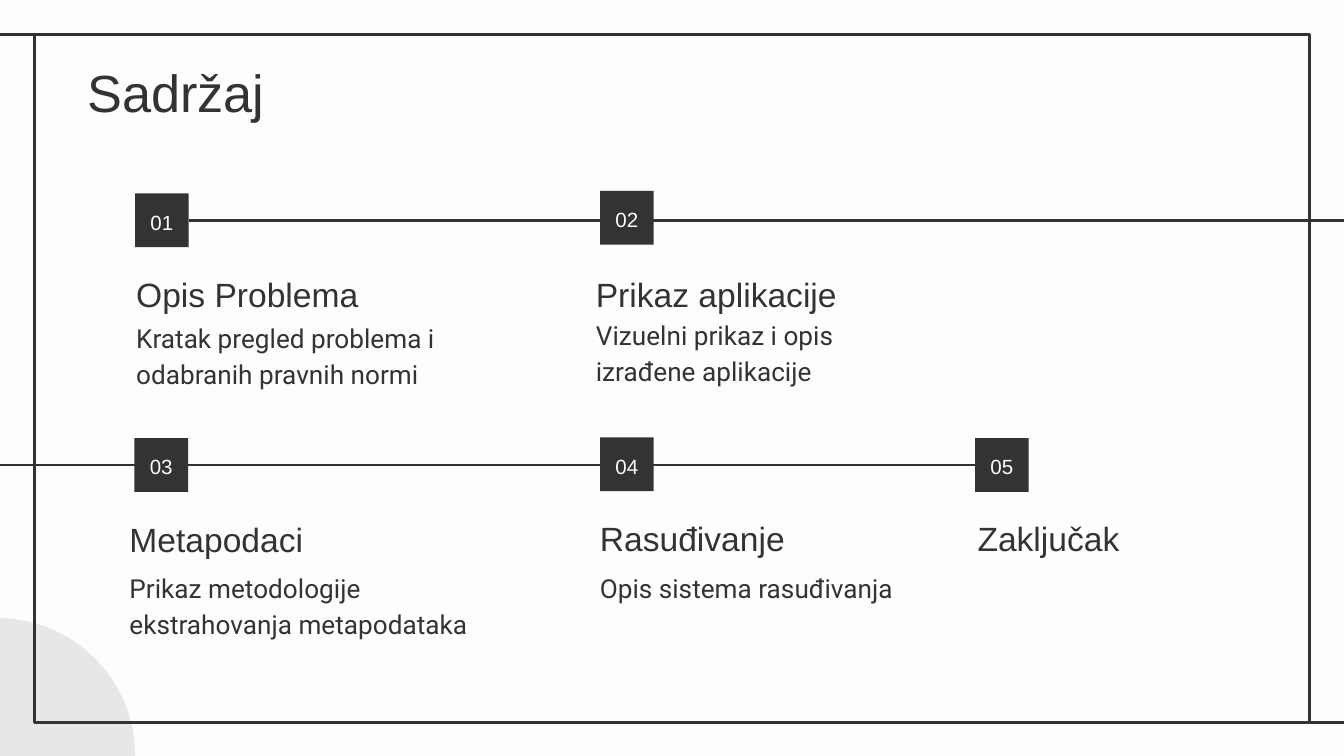
from lxml import etree
from pptx import Presentation
from pptx.dml.color import RGBColor
from pptx.enum.shapes import MSO_CONNECTOR as CONN, MSO_SHAPE as SHAPE
from pptx.enum.text import MSO_ANCHOR as ANCHOR, MSO_AUTO_SIZE as AUTO, PP_ALIGN as ALIGN
from pptx.oxml.ns import qn
from pptx.util import Emu, Pt

PX = 4572
DARK, LIGHT, GRAY = "333333", "FDFDFD", "E8E7E7"
rgb = RGBColor.from_string


def write(sp, lines, size, font="Arial", color=DARK, anchor=ANCHOR.TOP, align=ALIGN.LEFT, spacing=1.15):
    tf = sp.text_frame
    tf.word_wrap = True
    tf.auto_size = AUTO.NONE
    tf.vertical_anchor = anchor
    tf.margin_left = tf.margin_right = tf.margin_top = tf.margin_bottom = Emu(20 * PX)
    for i, line in enumerate(lines):
        p = tf.paragraphs[0] if i == 0 else tf.add_paragraph()
        p.alignment = align
        p.line_spacing = spacing
        r = p.add_run()
        r.text = line
        r.font.size = Pt(size)
        r.font.name = font
        r.font.color.rgb = rgb(color)


def rule(x1, y1, x2, y2):
    c = s.shapes.add_connector(CONN.STRAIGHT, *[Emu(v * PX) for v in (x1, y1, x2, y2)])
    c.line.color.rgb = rgb(DARK)
    c.line.width = Pt(1.5)
    etree.SubElement(c._element.spPr, qn("a:effectLst"))
    return c


prs = Presentation()
prs.slide_width, prs.slide_height = Emu(2000 * PX), Emu(1125 * PX)
s = prs.slides.add_slide(prs.slide_layouts[5])
s.background.fill.solid()
s.background.fill.fore_color.rgb = rgb(LIGHT)

title = s.shapes.title
title.left, title.top, title.width, title.height = [Emu(v * PX) for v in (110, 69, 1686, 126)]
write(title, ["Sadržaj"], 28, spacing=1)

circle = s.shapes.add_shape(SHAPE.OVAL, *[Emu(v * PX) for v in (-207, 920, 408, 408)])
circle.shadow.inherit = False
circle.fill.solid()
circle.fill.fore_color.rgb = rgb(GRAY)
circle.line.fill.background()

frame = s.shapes.add_shape(SHAPE.RECTANGLE, *[Emu(v * PX) for v in (51, 51, 1898, 1024)])
frame.shadow.inherit = False
frame.fill.background()
frame.line.color.rgb = rgb(DARK)
frame.line.width = Pt(1.5)
rule(51, 51, -4, 51)
rule(2006, 1075, 1949, 1075)

top_rule = rule(281, 328, 2034, 328)
bottom_rule = rule(1451, 692, -162, 692)

squares = {}
for number, x, y in [
    ("01", 201, 288),
    ("02", 893, 284),
    ("03", 200, 652),
    ("04", 893, 651),
    ("05", 1451, 652),
]:
    sp = s.shapes.add_shape(SHAPE.RECTANGLE, *[Emu(v * PX) for v in (x, y, 80, 80)])
    sp.shadow.inherit = False
    sp.fill.solid()
    sp.fill.fore_color.rgb = rgb(DARK)
    sp.line.fill.background()
    write(sp, [number], 11, color=LIGHT, anchor=ANCHOR.MIDDLE, align=ALIGN.CENTER)
    squares[number] = sp

top_rule.begin_connect(squares["01"], 3)
bottom_rule.begin_connect(squares["05"], 1)

for x, head_y, head, head_w, body_y, body, body_w in [
    (183, 404, "Opis Problema", 504, 453, ["Kratak pregled problema i odabranih pravnih normi"], 504),
    (867, 404, "Prikaz aplikacije", 504, 448, ["Vizuelni prikaz i opis izrađene aplikacije"], 504),
    (173, 768, "Metapodaci", 684, 825, ["Prikaz metodologije", "ekstrahovanja metapodataka"], 934),
    (873, 767, "Rasuđivanje", 504, 825, ["Opis sistema rasuđivanja"], 504),
    (1435, 767, "Zaključak", 504, 0, [], 0),
]:
    tb = s.shapes.add_textbox(*[Emu(v * PX) for v in (x, head_y, head_w, 84)])
    write(tb, [head], 18, anchor=ANCHOR.BOTTOM)
    if body:
        tb = s.shapes.add_textbox(*[Emu(v * PX) for v in (x, body_y, body_w, 126)])
        write(tb, body, 14, font="Roboto")

prs.save("out.pptx")
